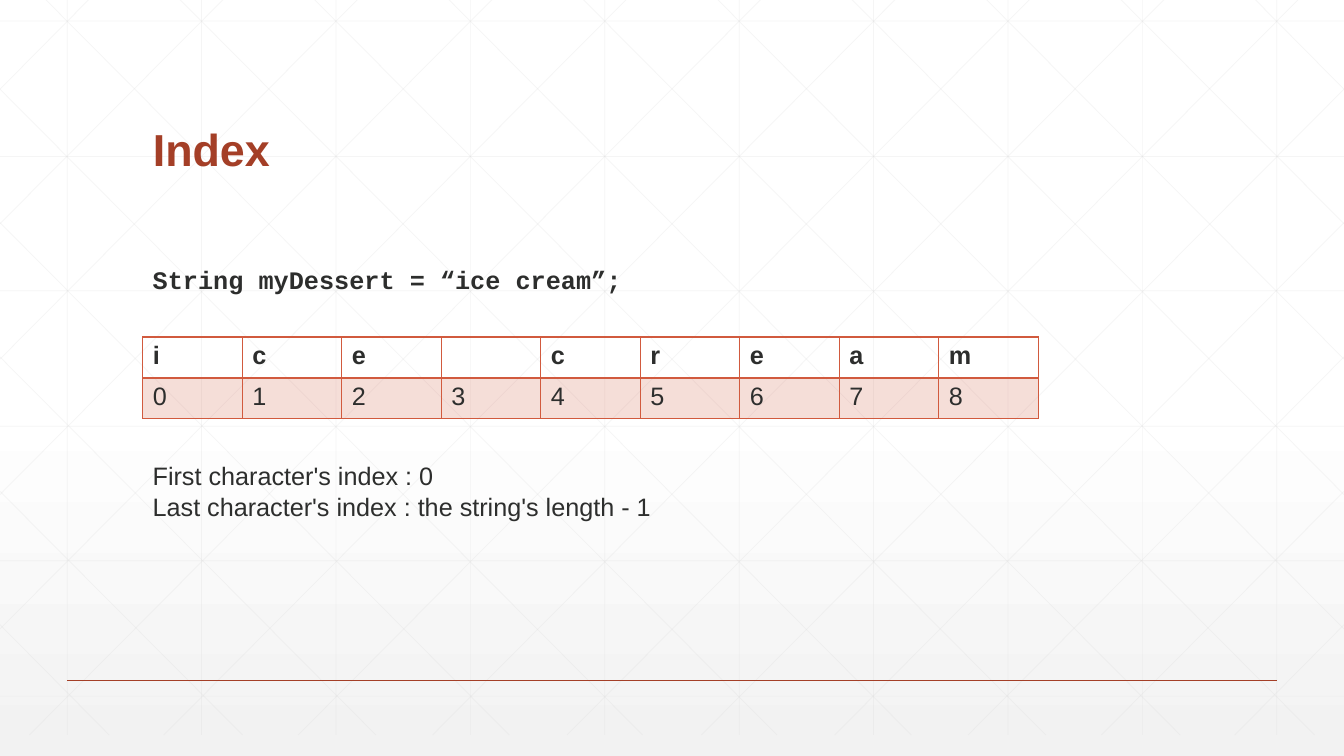
from copy import deepcopy

from lxml.etree import SubElement
from pptx import Presentation
from pptx.dml.color import RGBColor
from pptx.enum.shapes import MSO_CONNECTOR
from pptx.enum.text import MSO_ANCHOR, MSO_AUTO_SIZE, PP_ALIGN
from pptx.oxml import parse_xml
from pptx.oxml.ns import nsdecls, qn
from pptx.util import Pt

EMU_PER_PX = 9525
WIDTH, HEIGHT = 1280, 720
TITLE_ONLY = 5

WHITE = RGBColor(0xFF, 0xFF, 0xFF)
MIST = RGBColor(0xF2, 0xF2, 0xF2)
GRID_GRAY = RGBColor(0xD9, 0xD9, 0xD9)
RUST = RGBColor(0xA4, 0x3F, 0x27)
CORAL = RGBColor(0xD1, 0x5A, 0x3E)
INK = RGBColor(0x2D, 0x2E, 0x2D)

GRID_TOP, GRID_BOTTOM = -20, 700
GRID_STEP = 128
DIAGONAL_RUN = 716


def px(*lengths):
    return [round(length * EMU_PER_PX) for length in lengths]


def set_opacity(element, percent):
    """Give the first RGB colour inside element an alpha value."""
    color = element.find(".//" + qn("a:srgbClr"))
    SubElement(color, qn("a:alpha")).set("val", str(percent * 1000))


def write_text(frame, text, font="Arial", size=18, color=INK, bold=False, spacing=1.0):
    frame.text = text
    for paragraph in frame.paragraphs:
        paragraph.alignment = PP_ALIGN.LEFT
        paragraph.line_spacing = spacing
        paragraph.font.size = Pt(size)
        for run in paragraph.runs:
            run.font.name = font
            run.font.size = Pt(size)
            run.font.bold = bold
            run.font.color.rgb = color


def set_borders(cell, color, width):
    properties = cell._tc.get_or_add_tcPr()
    for position, side in enumerate(("lnL", "lnR", "lnT", "lnB")):
        properties.insert(position, parse_xml(
            f'<a:{side} {nsdecls("a")} w="{Pt(width)}"><a:solidFill>'
            f'<a:srgbClr val="{color}"/></a:solidFill></a:{side}>'))


class SlideBuilder:
    def __init__(self, presentation):
        self.slide = presentation.slides.add_slide(presentation.slide_layouts[TITLE_ONLY])

    def background(self):
        fill = self.slide.background.fill
        fill.gradient()
        fill.gradient_angle = 270
        middle, bottom = fill.gradient_stops
        middle.color.rgb, middle.position = WHITE, 0.53
        bottom.color.rgb, bottom.position = MIST, 1.0
        stops = self.slide.element.find(".//" + qn("a:gsLst"))
        stops.insert(0, deepcopy(stops[0]))
        stops[0].set("pos", "0")

    def line(self, x1, y1, x2, y2, color=GRID_GRAY, width=0.5, opacity=25):
        connector = self.slide.shapes.add_connector(
            MSO_CONNECTOR.STRAIGHT, *px(x1, y1, x2, y2))
        connector.line.color.rgb = color
        connector.line.width = Pt(width)
        if opacity < 100:
            set_opacity(connector.element.spPr, opacity)
        SubElement(connector.element.spPr, qn("a:effectLst"))

    def mirrored_lines(self, x1, y1, x2, y2):
        """Draw a line and its reflection about the slide's vertical axis."""
        self.line(x1, y1, x2, y2)
        self.line(WIDTH - x1, y1, WIDTH - x2, y2)

    def grid(self):
        for column in range(10):
            x = 64 + GRID_STEP * column
            self.line(x, GRID_TOP, x, GRID_BOTTOM)
        for row in range(6):
            y = round(20 + 128.6 * row)
            self.line(0, y, WIDTH, y)
        for column in range(10):
            start = 24 + GRID_STEP * column
            end = min(start + DIAGONAL_RUN, WIDTH)
            drop = (GRID_BOTTOM - GRID_TOP) * (end - start) / DIAGONAL_RUN
            self.mirrored_lines(start, GRID_TOP, end, round(GRID_TOP + drop))
        for row in range(5):
            self.mirrored_lines(0, round(85 + 127.5 * row), 612 - 127 * row, GRID_BOTTOM)

    def title(self, text, left, top, width, height):
        title = self.slide.shapes.title
        title.left, title.top, title.width, title.height = px(left, top, width, height)
        title.text_frame.vertical_anchor = MSO_ANCHOR.BOTTOM
        title.text_frame.auto_size = MSO_AUTO_SIZE.NONE
        write_text(title.text_frame, text, size=32, color=RUST, bold=True, spacing=0.9)
        title.element.getparent().append(title.element)  # in front of the grid

    def text_box(self, text, left, top, width, height, **style):
        box = self.slide.shapes.add_textbox(*px(left, top, width, height))
        box.text_frame.word_wrap = True
        box.text_frame.auto_size = MSO_AUTO_SIZE.SHAPE_TO_FIT_TEXT
        write_text(box.text_frame, text, **style)

    def index_table(self, word, left, top, width, height):
        """Show each character of word above its index."""
        table = self.slide.shapes.add_table(
            2, len(word), *px(left, top, width, height)).table
        table.first_row = table.horz_banding = False
        for index, character in enumerate(word):
            header, number = table.cell(0, index), table.cell(1, index)
            write_text(header.text_frame, character.strip(), bold=True)
            header.fill.background()
            write_text(number.text_frame, str(index))
            number.fill.solid()
            number.fill.fore_color.rgb = CORAL
            set_opacity(number._tc.tcPr, 20)
            for cell in (header, number):
                set_borders(cell, CORAL, 1)


def main():
    presentation = Presentation()
    presentation.slide_width, presentation.slide_height = px(WIDTH, HEIGHT)

    builder = SlideBuilder(presentation)
    builder.background()
    builder.grid()
    builder.line(64, 648, 1216, 648, color=RUST, width=1, opacity=100)
    builder.title("Index", 136, 53, 1008, 120)
    builder.index_table("ice cream", 136, 321, 853, 78)
    builder.text_box("String myDessert = “ice cream”;", 136, 247, 592, 38,
                     font="Courier New", bold=True)
    builder.text_box("First character's index : 0\n"
                     "Last character's index : the string's length - 1",
                     136, 434, 641, 68)
    presentation.save("out.pptx")


if __name__ == "__main__":
    main()
